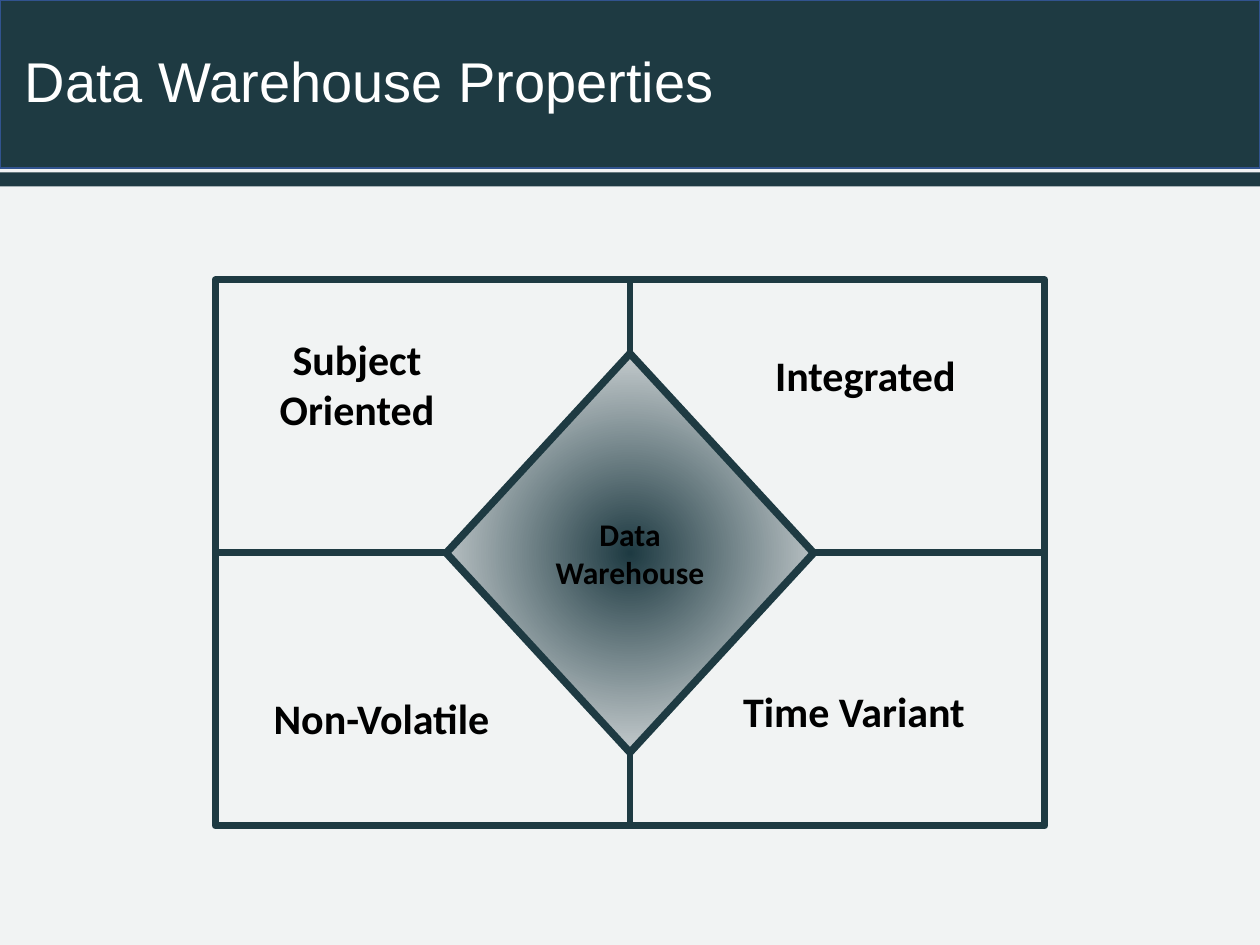
from lxml import etree
from pptx import Presentation
from pptx.dml.color import RGBColor
from pptx.enum.shapes import MSO_CONNECTOR, MSO_SHAPE
from pptx.enum.text import MSO_ANCHOR, PP_ALIGN
from pptx.oxml.ns import qn
from pptx.util import Pt

TEAL, WHITE, BLACK = "1E3A42", "FFFFFF", "000000"
PALE, BLUE = "F1F3F3", "31538F"


def color(value):
    return RGBColor.from_string(value)


class SlideBuilder:
    label = {"name": "Calibri", "size": Pt(24), "bold": True}
    core = {**label, "size": Pt(18)}
    title = {"name": "Arial", "size": Pt(32), "bold": False}

    def __init__(self, slide):
        self.slide = slide
        self.shapes = slide.shapes

    def background(self, fill):
        self.slide.background.fill.solid()
        self.slide.background.fill.fore_color.rgb = color(fill)

    def outline(self, line, ink, width):
        line.color.rgb = color(ink)
        line.width = Pt(width)

    def shape(self, kind, place, fill=None, ink=None, width=1):
        shape = self.shapes.add_shape(kind, *map(Pt, place))
        shape.shadow.inherit = False
        if fill:
            shape.fill.solid()
            shape.fill.fore_color.rgb = color(fill)
        else:
            shape.fill.background()
        if ink:
            self.outline(shape.line, ink, width)
        else:
            shape.line.fill.background()
        return shape

    def radial_fill(self, shape, inner, outer):
        shape.fill.gradient()
        for stop, value in zip(shape.fill.gradient_stops, (inner, outer)):
            stop.color.rgb = color(value)
        gradient = shape._element.spPr.find(qn("a:gradFill"))
        gradient.remove(gradient.find(qn("a:lin")))
        circle = etree.SubElement(gradient, qn("a:path"), {"path": "circle"})
        center = dict.fromkeys("ltrb", "50000")
        etree.SubElement(circle, qn("a:fillToRect"), center)

    def fill_text(self, shape, lines, style, ink=BLACK, align=PP_ALIGN.CENTER,
                  anchor=MSO_ANCHOR.TOP, spacing=None):
        frame = shape.text_frame
        frame.word_wrap = True
        frame.vertical_anchor = anchor
        for index, line in enumerate(lines):
            para = frame.add_paragraph() if index else frame.paragraphs[0]
            para.alignment = align
            para.line_spacing = spacing
            span = para.add_run()
            span.text = line
            for key, value in style.items():
                setattr(span.font, key, value)
            span.font.color.rgb = color(ink)

    def text(self, place, lines, style, **options):
        box = self.shapes.add_textbox(*map(Pt, place))
        self.fill_text(box, lines, style, **options)

    def connect(self, start, end, side, ink, width):
        line = self.shapes.add_connector(MSO_CONNECTOR.STRAIGHT, 0, 0, 0, 0)
        line.begin_connect(start, side)
        line.end_connect(end, side)
        self.outline(line.line, ink, width)
        etree.SubElement(line._element.spPr, qn("a:effectLst"))


def main():
    deck = Presentation()
    deck.slide_width, deck.slide_height = Pt(720), Pt(540)
    page = SlideBuilder(deck.slides.add_slide(deck.slide_layouts[6]))
    page.background(PALE)

    # Title band
    page.shape(MSO_SHAPE.RECTANGLE, (0, 0, 720, 96), TEAL, BLUE)
    page.shape(MSO_SHAPE.RECTANGLE, (0, 98.5, 720, 8), TEAL)
    page.text((7, 0, 713, 96), ["Data Warehouse Properties"], page.title,
              ink=WHITE, align=PP_ALIGN.LEFT, anchor=MSO_ANCHOR.MIDDLE,
              spacing=0.9)

    # Frame and diamond share one center, joined on all four sides
    frame = page.shape(MSO_SHAPE.RECTANGLE, (123, 160, 474, 312),
                       ink=TEAL, width=4)
    diamond = page.shape(MSO_SHAPE.FLOWCHART_DECISION, (255, 202, 210, 228),
                         ink=TEAL, width=4.25)
    page.radial_fill(diamond, TEAL, WHITE)
    page.fill_text(diamond, ["Data", "Warehouse"], page.core,
                   anchor=MSO_ANCHOR.MIDDLE)
    for side in range(4):
        page.connect(frame, diamond, side, TEAL, 4)

    # Property in each quadrant
    properties = [
        ((152, 187, 104, 65), ["Subject", "Oriented"]),
        ((429, 196, 131, 36), ["Integrated"]),
        ((148, 392, 140, 36), ["Non-Volatile"]),
        ((416, 388, 144, 36), ["Time Variant"]),
    ]
    for place, lines in properties:
        page.text(place, lines, page.label)

    deck.save("out.pptx")


if __name__ == "__main__":
    main()
